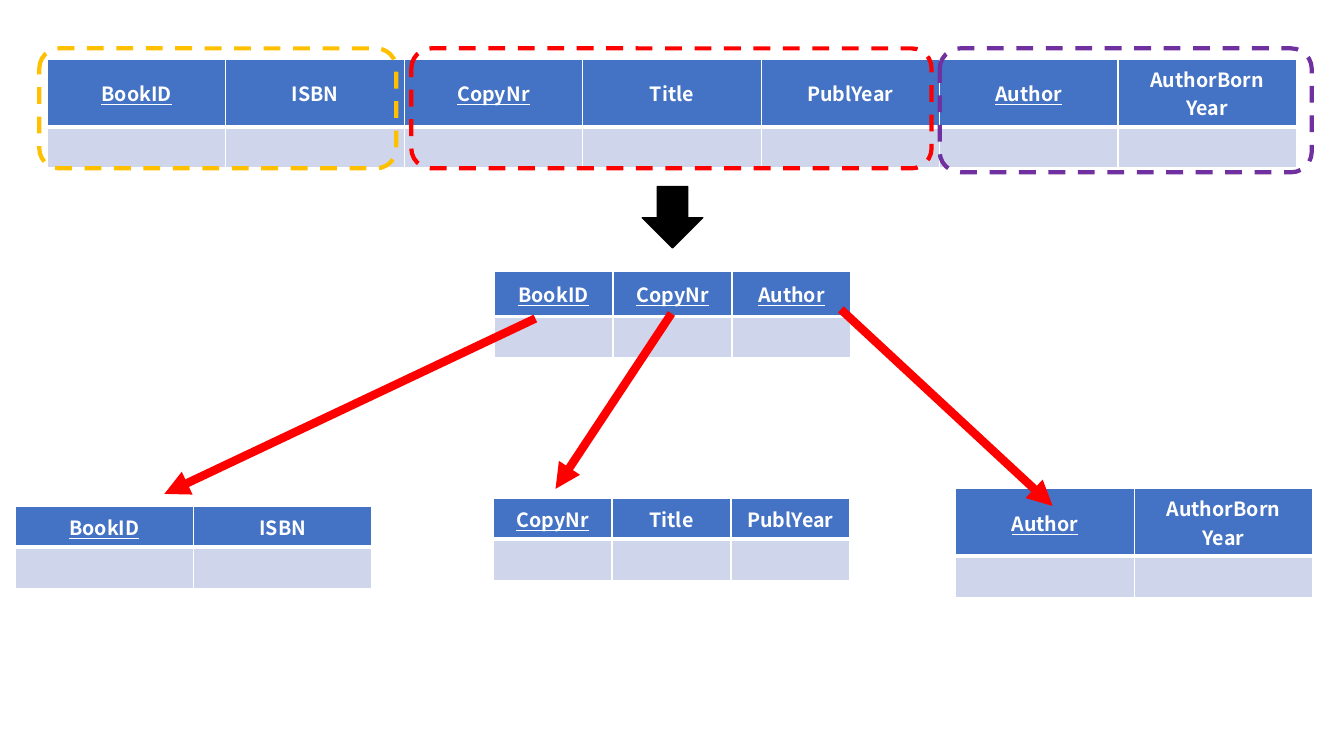
from lxml.etree import SubElement as Sub
from pptx import Presentation
from pptx.dml.color import RGBColor as RGB
from pptx.enum.dml import MSO_LINE as Dash
from pptx.enum.shapes import MSO_CONNECTOR as Conn, MSO_SHAPE as Kind
from pptx.enum.text import MSO_ANCHOR as Anchor, PP_ALIGN as Align
from pptx.oxml.ns import qn
from pptx.util import Emu, Pt

WHITE = RGB(0xFF, 0xFF, 0xFF)
BLACK = RGB(0, 0, 0)
BLUE = RGB(0x44, 0x72, 0xC4)
PALE = RGB(0xCF, 0xD5, 0xEA)
RED = RGB(0xFF, 0, 0)
GOLD = RGB(0xFF, 0xC0, 0)
PURPLE = RGB(0x70, 0x30, 0xA0)
FONT = "Noto Sans CJK JP"
PX = 9144  # 100 px to the inch
ROW = 41

KEYS = {"BookID", "CopyNr", "Author"}
BOOK = ["BookID", "ISBN"]
COPY = ["CopyNr", "Title", "PublYear"]
AUTHOR = ["Author", "AuthorBorn Year"]

# left, top, column width, header height, fields
TABLES = [
    (47, 59, 177, ROW, BOOK + COPY + AUTHOR),
    (15, 502, 177, ROW, BOOK),
    (948, 485, 177, 42, AUTHOR),
    (490, 269, 118, 45, ["BookID", "CopyNr", "Author"]),
    (489, 494, 118, ROW, COPY),
]
# left, top, width, height, colour
GROUPS = [
    (39, 48, 354, 119, GOLD),
    (932, 48, 369, 123, PURPLE),
    (408, 48, 516, 119, RED),
]
DOWN = (637, 185, 60, 61)
# from x, y, to x, y
ARROWS = [
    (531, 316, 163, 490),
    (834, 307, 1044, 502),
    (666, 311, 551, 485),
]


def px(*vals):
    return [Emu(v * PX) for v in vals]


def write(cell, text, size=14, color=WHITE, bold=True, under=False):
    cell.vertical_anchor = Anchor.MIDDLE
    para = cell.text_frame.paragraphs[0]
    para.alignment = Align.CENTER
    run = para.add_run()
    run.text = text
    font = run.font
    font.name, font.size, font.bold = FONT, Pt(size), bold
    font.underline = under
    font.color.rgb = color


def paint(cell, color, top=1, bottom=1):
    """Fill a cell and give it white borders, widths in points."""
    props = cell._tc.get_or_add_tcPr()
    for side, width in zip("LRTB", (1, 1, top, bottom)):
        edge = Sub(props, qn(f"a:ln{side}"), w=str(Pt(width)))
        fill = Sub(edge, qn("a:solidFill"))
        Sub(fill, qn("a:srgbClr"), val=str(WHITE))
    cell.fill.solid()
    cell.fill.fore_color.rgb = color


def add_grid(shapes, left, top, width, head, fields):
    count = len(fields)
    box = px(left, top, width * count, head + ROW)
    table = shapes.add_table(2, count, *box).table
    table.horz_banding = False
    table.rows[0].height, table.rows[1].height = px(head, ROW)
    for col, field in enumerate(fields):
        table.columns[col].width = Emu(width * PX)
        paint(table.cell(0, col), BLUE, bottom=3)
        paint(table.cell(1, col), PALE, top=3)
        write(table.cell(0, col), field, under=field in KEYS)


def add_box(shapes, kind, box, color, width):
    shape = shapes.add_shape(kind, *px(*box))
    shape.shadow.inherit = False
    shape.line.color.rgb = color
    shape.line.width = Pt(width)
    return shape


def add_arrow(shapes, ends):
    arrow = shapes.add_connector(Conn.STRAIGHT, *px(*ends))
    arrow.line.color.rgb = RED
    arrow.line.width = Pt(6)
    Sub(arrow.line._get_or_add_ln(), qn("a:tailEnd"), type="triangle")
    Sub(arrow._element.spPr, qn("a:effectLst"))


def main():
    prs = Presentation()
    prs.slide_width, prs.slide_height = px(1333, 750)
    shapes = prs.slides.add_slide(prs.slide_layouts[6]).shapes
    for grid in TABLES:
        add_grid(shapes, *grid)
    down = add_box(shapes, Kind.DOWN_ARROW, DOWN, BLACK, 1)
    down.fill.solid()
    down.fill.fore_color.rgb = BLACK
    for *box, color in GROUPS:
        group = add_box(shapes, Kind.ROUNDED_RECTANGLE, box, color, 3)
        group.fill.background()
        group.line.dash_style = Dash.DASH
    for ends in ARROWS:
        add_arrow(shapes, ends)
    prs.save("out.pptx")


if __name__ == "__main__":
    main()
